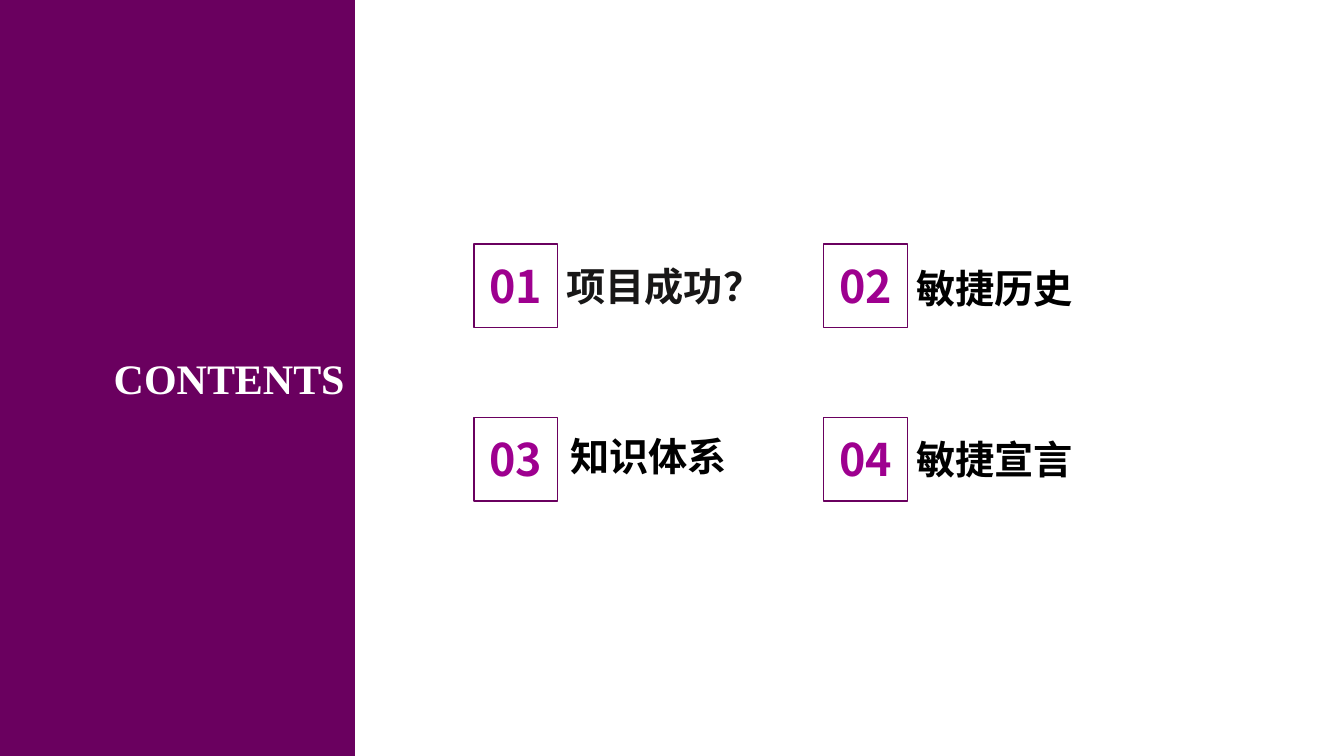
"""Build a contents slide with a purple side panel and four numbered topics."""
from lxml import etree
from pptx import Presentation
from pptx.dml.color import RGBColor
from pptx.enum.shapes import MSO_SHAPE
from pptx.enum.text import MSO_ANCHOR, MSO_AUTO_SIZE, PP_ALIGN
from pptx.oxml.ns import qn
from pptx.util import Pt

PX = 9144
PLUM = RGBColor(0x6A, 0x00, 0x5F)
PINK = RGBColor(0x9E, 0x00, 0x8F)
WHITE = RGBColor(0xFF, 0xFF, 0xFF)
BLACK = RGBColor(0x00, 0x00, 0x00)
DARK = RGBColor(0x18, 0x17, 0x17)
RECT = MSO_SHAPE.RECTANGLE
TOP, MID = MSO_ANCHOR.TOP, MSO_ANCHOR.MIDDLE
LEFT, MIDST, RIGHT = PP_ALIGN.LEFT, PP_ALIGN.CENTER, PP_ALIGN.RIGHT
NONE = MSO_AUTO_SIZE.NONE
SERIF, SANS = "Times New Roman", "Noto Sans CJK SC"


def scale(*nums):
    return [num * PX for num in nums]


def write(shape, text, size, face, color, align, anchor):
    frame = shape.text_frame
    frame.word_wrap = True
    frame.auto_size = NONE
    frame.vertical_anchor = anchor
    para = frame.paragraphs[0]
    para.alignment = align
    run = para.add_run()
    run.text = text
    font = run.font
    font.size = Pt(size)
    font.bold = True
    font.color.rgb = color
    font.name = face
    east = etree.SubElement(font._element, qn("a:ea"))
    east.set("typeface", SANS)


deck = Presentation()
deck.slide_width, deck.slide_height = scale(1333, 750)
slide = deck.slides.add_slide(deck.slide_layouts[5])
shapes = slide.shapes

panel = shapes.add_shape(RECT, *scale(0, 0, 352, 750))
panel.shadow.inherit = False
panel.fill.solid()
panel.fill.fore_color.rgb = PLUM
panel.line.fill.background()

title = shapes.title
title.left, title.top, title.width, title.height = scale(0, 345, 352, 61)
write(title, "CONTENTS", 30, SERIF, WHITE, RIGHT, TOP)
shapes._spTree.remove(panel._element)
shapes._spTree.insert(2, panel._element)

topics = [
    ("项目成功？", 552, 255, DARK),
    ("敏捷历史", 899, 257, BLACK),
    ("知识体系", 556, 424, BLACK),
    ("敏捷宣言", 899, 427, BLACK),
]
for i, (text, x, y, color) in enumerate(topics):
    row, col = divmod(i, 2)
    left, top = 470 + 347 * col, 242 + 172 * row
    group = shapes.add_group_shape().shapes

    label = group.add_textbox(*scale(x, y, 225, 57))
    write(label, text, 28, SERIF, color, LEFT, TOP)

    number = group.add_textbox(*scale(left, top + 9, 83, 64))
    write(number, f"{i + 1:02}", 32, SANS, PINK, MIDST, MID)

    box = group.add_shape(RECT, *scale(left, top, 83, 83))
    box.shadow.inherit = False
    box.fill.background()
    box.line.color.rgb = PLUM
    box.line.width = Pt(1)

deck.save("out.pptx")
